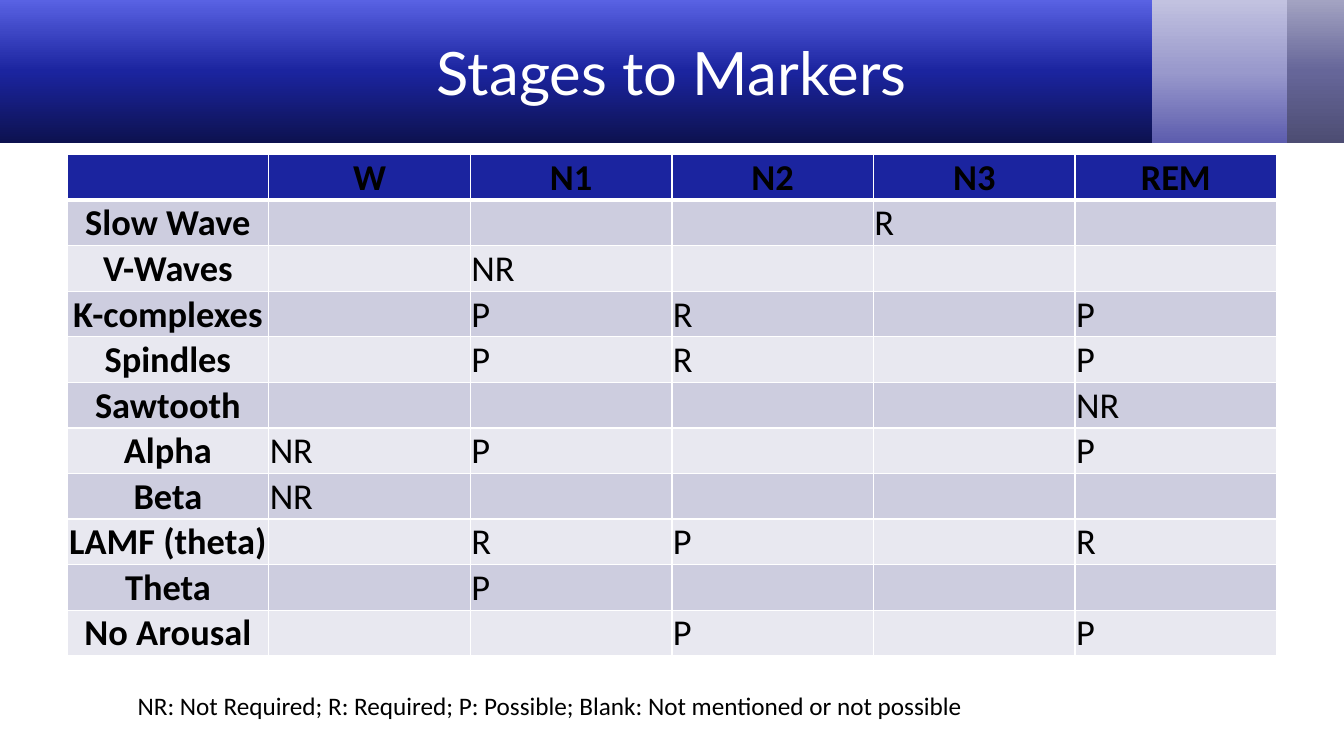
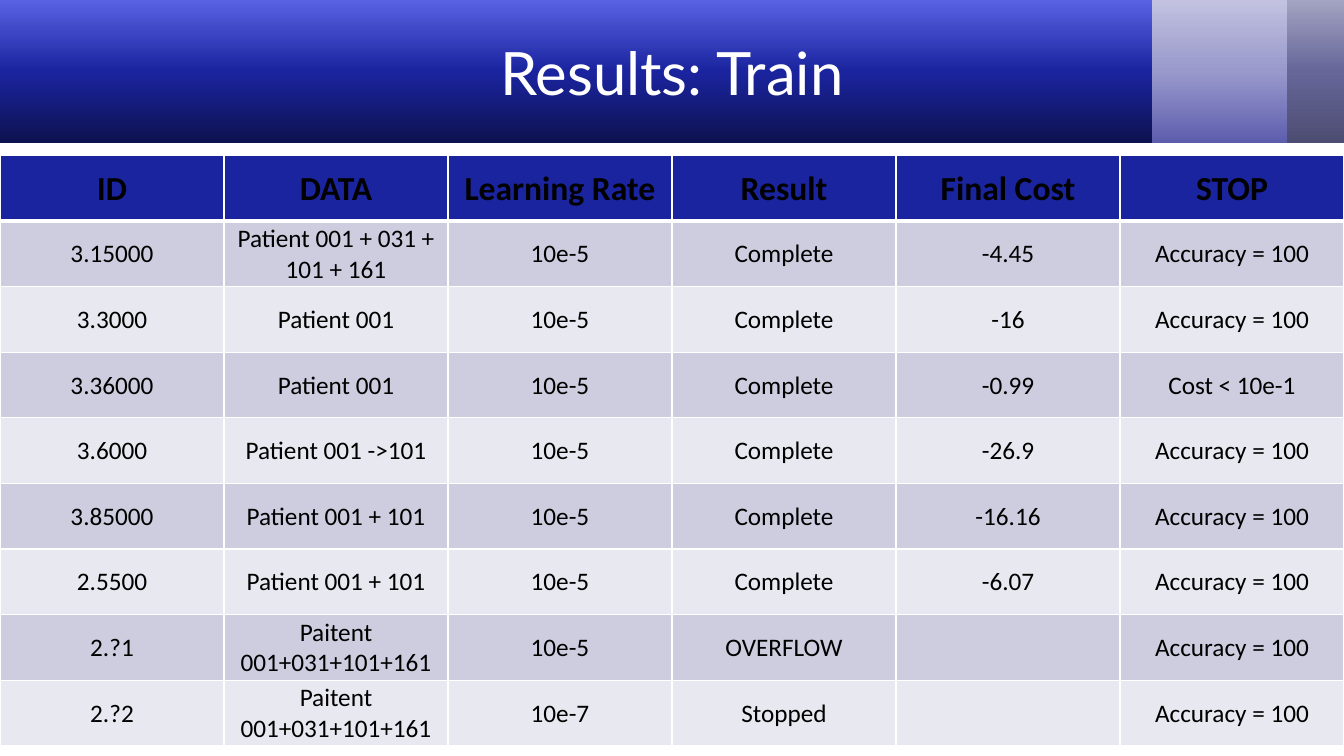
import copy
from dataclasses import dataclass

from pptx import Presentation
from pptx import util as u
from pptx.dml.color import RGBColor
from pptx.enum import shapes, text
from pptx.oxml import parse_xml
from pptx.oxml.ns import nsdecls
from pptx.text.text import Font


@dataclass(frozen=True)
class Theme:
    title_font: str = "Lato"
    body_font: str = "Calibri"
    title_size: float = 42.7
    markers_size: int = 26
    results_head_size: int = 24
    small_size: int = 18
    white: str = "FFFFFF"
    black: str = "000000"
    head: str = "1B249F"
    stripes: tuple = ("CDCDDF", "E8E8F0")
    gray_band: tuple = ("4D4D73", "666699", "A3A3C2")
    light_band: tuple = ("5D5DAE", "9999CC", "C2C2E0")
    blue_band: tuple = ("0D1250", "1B249F", "5962E3")


T = Theme()
prs = Presentation()
prs.slide_width, prs.slide_height = u.Inches(13.33), u.Inches(7.5)
COL, ROW = prs.slide_width / 20, prs.slide_height / 90
CENTER, LEFT = text.PP_ALIGN.CENTER, text.PP_ALIGN.LEFT


def set_font(font, name, size, color, bold=False):
    for key, value in dict(name=name, size=u.Pt(size), bold=bold).items():
        setattr(font, key, value)
    font.color.rgb = RGBColor.from_string(color)


def fill_table(s, box, rows, anchor, head_size, body_size, label_column):
    """Add a striped table; label_column makes the first column bold, the rest left."""
    tbl = s.shapes.add_table(len(rows), len(rows[0]), *box).table
    tbl.first_row = tbl.horz_banding = False
    for row in tbl.rows:
        row.height = int(box[3] / len(rows))
    for i, values in enumerate(rows):
        for j, value in enumerate(values):
            cell = tbl.cell(i, j)
            is_label = i == 0 or (label_column and j == 0)
            margin = u.Inches(0.01)
            for key, val in dict(text=value, vertical_anchor=anchor, margin_left=margin,
                                 margin_right=margin, margin_top=margin,
                                 margin_bottom=0).items():
                setattr(cell, key, val)
            # Borders: thick rule under the header, thin ones elsewhere
            widths = dict(L=1, R=1, T=3 if i == 1 else 1, B=3 if i == 0 else 1)
            for side, width in widths.items():
                cell._tc.get_or_add_tcPr().append(parse_xml(
                    f'<a:ln{side} {nsdecls("a")} w="{u.Pt(width)}"><a:solidFill>'
                    f'<a:srgbClr val="{T.white}"/></a:solidFill></a:ln{side}>'))
            cell.fill.solid()
            cell.fill.fore_color.rgb = RGBColor.from_string(
                T.stripes[(i - 1) % 2] if i else T.head)
            p = cell.text_frame.paragraphs[0]
            p.alignment = CENTER if is_label or not label_column else LEFT
            for r in p.runs:
                set_font(r.font, T.body_font, body_size if i else head_size,
                         T.black, is_label)


# Shared title style
master, layout = prs.slide_master, prs.slide_layouts[5]
for holder in (master, layout):
    sp = next(x for x in holder.placeholders
              if x.placeholder_format.type == shapes.PP_PLACEHOLDER.TITLE)
    for key, value in dict(left=COL, top=ROW, width=18 * COL, height=15 * ROW).items():
        setattr(sp, key, int(value))
    sp.text_frame.auto_size = text.MSO_AUTO_SIZE.NONE
    sp.text_frame.vertical_anchor = text.MSO_ANCHOR.MIDDLE
title_style = master.element.xpath("p:txStyles/p:titleStyle/a:lvl1pPr/a:defRPr")[0]
set_font(Font(title_style), T.title_font, T.title_size, T.white)

# Slides with their titles
titles = ["Stages to Markers", "Results: Train"]
slides = [prs.slides.add_slide(layout) for _ in titles]
for s, title in zip(slides, titles):
    s.shapes.title.text = title

# Header bands, moved to the master behind everything else
bands = [(18.85, 1.15, T.gray_band), (17.05, 2.1, T.light_band), (0, 17.15, T.blue_band)]
for i, (left, width, colors) in enumerate(bands):
    sp = slides[0].shapes.add_shape(shapes.MSO_SHAPE.RECTANGLE, int(left * COL), 0,
                                    int(width * COL), int(17 * ROW))
    sp.shadow.inherit = False
    sp.line.fill.background()
    sp.fill.gradient()
    sp.fill.gradient_angle = 90
    stops = sp.element.xpath(".//a:gsLst")[0]
    stops.append(copy.deepcopy(stops[0]))
    for stop, position, color in zip(sp.fill.gradient_stops, (0, 0.5, 1), colors):
        stop.position = position
        stop.color.rgb = RGBColor.from_string(color)
    master.shapes._spTree.insert(2 + i, sp.element)

# Stages to markers: table
markers = [
    ["", "W", "N1", "N2", "N3", "REM"],
    ["Slow Wave", "", "", "", "R", ""],
    ["V-Waves", "", "NR", "", "", ""],
    ["K-complexes", "", "P", "R", "", "P"],
    ["Spindles", "", "P", "R", "", "P"],
    ["Sawtooth", "", "", "", "", "NR"],
    ["Alpha", "NR", "P", "", "", "P"],
    ["Beta", "NR", "", "", "", ""],
    ["LAMF (theta)", "", "R", "P", "", "R"],
    ["Theta", "", "P", "", "", ""],
    ["No Arousal", "", "", "P", "", "P"],
]
box = [int(x) for x in (COL, 18.4 * ROW, 18 * COL, 59.6 * ROW)]
fill_table(slides[0], box, markers, text.MSO_ANCHOR.BOTTOM,
           T.markers_size, T.markers_size, True)

# Stages to markers: legend
box = [int(x) for x in (1.9 * COL, 81.6 * ROW, 13.7 * COL, 4.8 * ROW)]
tf = slides[0].shapes.add_textbox(*box).text_frame
tf.word_wrap = True
r = tf.paragraphs[0].add_run()
r.text = "NR: Not Required; R: Required; P: Possible; Blank: Not mentioned or not possible"
set_font(r.font, T.body_font, T.small_size, T.black)

# Training results: table
results = [
    ["ID", "DATA", "Learning Rate", "Result", "Final Cost", "STOP"],
    ["3.15000", "Patient 001 + 031 + 101 + 161", "10e-5", "Complete", "-4.45", "Accuracy = 100"],
    ["3.3000", "Patient 001", "10e-5", "Complete", "-16", "Accuracy = 100"],
    ["3.36000", "Patient 001", "10e-5", "Complete", "-0.99", "Cost < 10e-1"],
    ["3.6000", "Patient 001 ->101", "10e-5", "Complete", "-26.9", "Accuracy = 100"],
    ["3.85000", "Patient 001 + 101", "10e-5", "Complete", "-16.16", "Accuracy = 100"],
    ["2.5500", "Patient 001 + 101", "10e-5", "Complete", "-6.07", "Accuracy = 100"],
    ["2.?1", "Paitent 001+031+101+161", "10e-5", "OVERFLOW", "", "Accuracy = 100"],
    ["2.?2", "Paitent 001+031+101+161", "10e-7", "Stopped", "", "Accuracy = 100"],
]
box = [int(x) for x in (0, 18.5 * ROW, 20 * COL, 70.3 * ROW)]
fill_table(slides[1], box, results, text.MSO_ANCHOR.MIDDLE,
           T.results_head_size, T.small_size, False)

prs.save("out.pptx")
